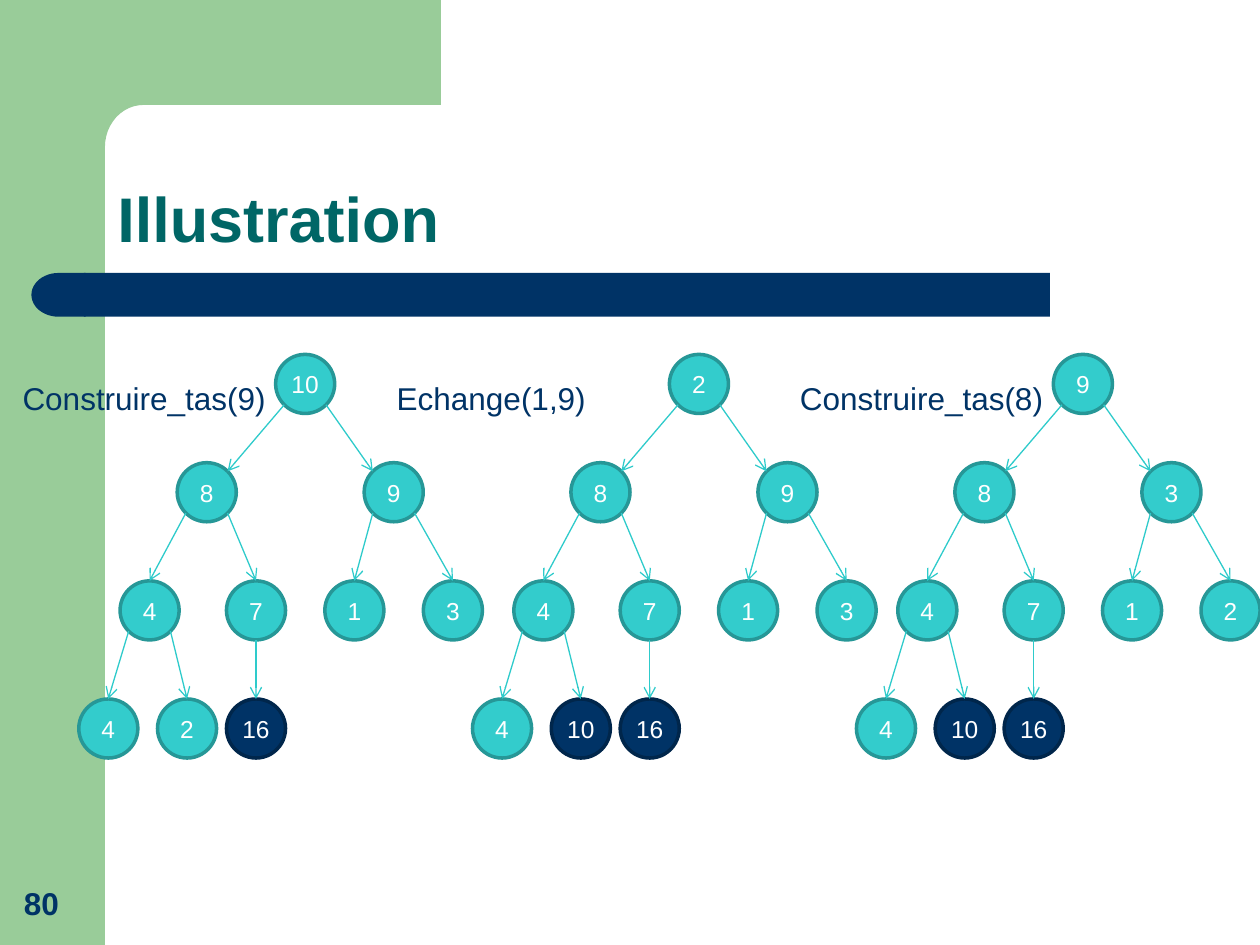
import math

from pptx import Presentation
from pptx.dml.color import RGBColor
from pptx.enum import shapes, text
from pptx.oxml import parse_xml
from pptx.oxml.ns import nsdecls, qn
from pptx.util import Pt

GREEN = RGBColor(0x99, 0xCC, 0x99)
NAVY = RGBColor(0x00, 0x33, 0x66)
DARK_NAVY = RGBColor(0x00, 0x26, 0x4B)
TEAL = RGBColor(0x00, 0x66, 0x66)
TURQUOISE = RGBColor(0x33, 0xCC, 0xCC)
DARK_TURQUOISE = RGBColor(0x26, 0x97, 0x97)
ARROW = RGBColor(0x2E, 0xCB, 0xCB)
WHITE = RGBColor(0xFF, 0xFF, 0xFF)

SHAPE = shapes.MSO_SHAPE
DIAMETER = 33.75
ROWS = (0, 61.9, 129.4, 196.9)

TOP, BOTTOM = (0, -1), (0, 1)
SLANT = math.sqrt(0.5)
UPPER_LEFT, UPPER_RIGHT = (-SLANT, -SLANT), (SLANT, -SLANT)
LOWER_LEFT, LOWER_RIGHT = (-SLANT, SLANT), (SLANT, SLANT)

NODES = (
    (112.5, 0), (56.25, 1), (163.1, 1),
    (23.6, 2), (84.4, 2), (140.6, 2), (196.9, 2),
    (0, 3), (45, 3), (84.4, 3),
)
EDGES = (
    (0, 1, LOWER_LEFT, UPPER_RIGHT), (0, 2, LOWER_RIGHT, UPPER_LEFT),
    (1, 3, LOWER_LEFT, TOP), (1, 4, LOWER_RIGHT, TOP),
    (3, 7, LOWER_LEFT, TOP), (3, 8, LOWER_RIGHT, TOP), (4, 9, BOTTOM, TOP),
    (2, 5, LOWER_LEFT, TOP), (2, 6, LOWER_RIGHT, TOP),
)
TREES = (
    (45, (5.8, 168.5), "Construire_tas(9)", (10, 8, 9, 4, 7, 1, 3, 4, 2, 16), 1),
    (270, (219.6, 135.4), "Echange(1,9)", (2, 8, 9, 4, 7, 1, 3, 4, 10, 16), 2),
    (489.4, (450, 168.5), "Construire_tas(8)", (9, 8, 3, 4, 7, 1, 2, 4, 10, 16), 2),
)


def write(frame, words, *, size, color, bold=False, anchor=text.MSO_ANCHOR.TOP,
          align=None, spacing=None, inset=None):
    """Put one formatted paragraph into a text frame."""
    frame.word_wrap = True
    frame.vertical_anchor = anchor
    if inset is not None:
        frame.margin_left = frame.margin_right = Pt(inset)
        frame.margin_top = frame.margin_bottom = Pt(inset)
    para = frame.paragraphs[0]
    para.alignment = align
    para.line_spacing = spacing
    span = para.add_run()
    span.text = words
    span.font.name = "Arial"
    span.font.size = Pt(size)
    span.font.bold = bold
    span.font.color.rgb = color


def add_label(page, box, words, **style):
    """Place a text box in the given box."""
    label = page.shapes.add_textbox(*map(Pt, box))
    write(label.text_frame, words, **style)


def paint(shape, fill, line=None):
    """Give a shape a flat fill and an optional outline."""
    shape.shadow.inherit = False
    shape.fill.solid()
    shape.fill.fore_color.rgb = fill
    if line is None:
        shape.line.fill.background()
    else:
        shape.line.color.rgb = line
        shape.line.width = Pt(2)


def add_block(page, kind, box, fill, line=None):
    """Place a painted preset shape in the given box."""
    block = page.shapes.add_shape(kind, *map(Pt, box))
    paint(block, fill, line)
    return block


def add_frame(page, left, top, width, height):
    """Draw the green side band and its corner with a rounded inner edge."""
    band = 60
    add_block(page, SHAPE.RECTANGLE, (left, top, band, height), GREEN)
    arc = []
    for step in range(13):
        angle = math.radians(7.5 * step)
        arc.append((left + band + 22 * (1 - math.sin(angle)),
                    top + band + 24 * (1 - math.cos(angle))))
    right = left + width
    points = [(right, top + band), *arc, (left + band, top + 92),
              (left + 36, top + 92), (left + 36, top)]
    builder = page.shapes.build_freeform(Pt(right), Pt(top), scale=1.0)
    builder.add_line_segments([(Pt(x), Pt(y)) for x, y in points], close=True)
    paint(builder.convert_to_shape(), GREEN)


def add_bar(page, left, top, width, height):
    """Draw the navy bar with its round left end."""
    cap = 31
    add_block(page, SHAPE.RECTANGLE, (left + cap - 1, top, width - cap + 1, height), NAVY)
    end = add_block(page, SHAPE.FLOWCHART_DELAY, (left, top, cap, height), NAVY)
    end._element.spPr.find(qn("a:xfrm")).set("flipH", "1")


def add_arrow(page, start, end):
    """Draw a thin line with an open arrowhead at its end."""
    arrow = page.shapes.add_connector(
        shapes.MSO_CONNECTOR.STRAIGHT, *map(Pt, (*start, *end)))
    arrow.line.color.rgb = ARROW
    arrow.line.width = Pt(0.75)
    arrow.line._get_or_add_ln().append(
        parse_xml(f'<a:tailEnd {nsdecls("a")} type="arrow"/>'))
    arrow._element.spPr.append(parse_xml(f'<a:effectLst {nsdecls("a")}/>'))


def add_tree(page, left, top, values, sorted_count):
    """Draw a heap whose last values are already sorted and so dark."""
    radius = DIAMETER / 2
    places = [(left + x, top + ROWS[row]) for x, row in NODES]
    for index, (place, value) in enumerate(zip(places, values)):
        is_sorted = index >= len(values) - sorted_count
        colors = (NAVY, DARK_NAVY) if is_sorted else (TURQUOISE, DARK_TURQUOISE)
        node = add_block(page, SHAPE.OVAL, (*place, DIAMETER, DIAMETER), *colors)
        write(node.text_frame, str(value), size=14, color=WHITE, inset=0,
              anchor=text.MSO_ANCHOR.MIDDLE, align=text.PP_ALIGN.CENTER)

    def rim(index, side):
        """Return the point of a node's rim on the given side."""
        return [origin + radius * (1 + part)
                for origin, part in zip(places[index], side)]

    for parent, child, leave, arrive in EDGES:
        add_arrow(page, rim(parent, leave), rim(child, arrive))


def main():
    """Build and save the slide."""
    deck = Presentation()
    deck.slide_width, deck.slide_height = Pt(720), Pt(540)
    page = deck.slides.add_slide(deck.slide_layouts[6])
    add_frame(page, 0, 0, 252, 540)
    add_bar(page, 18, 156, 582, 25)
    add_label(page, (60, 60, 624, 90), "Illustration", size=36, color=TEAL,
              bold=True, anchor=text.MSO_ANCHOR.BOTTOM, spacing=0.9)
    add_label(page, (6.5, 492, 46, 38), "80", size=18, color=NAVY, bold=True,
              anchor=text.MSO_ANCHOR.BOTTOM)
    for left, (label_left, label_width), words, values, sorted_count in TREES:
        add_label(page, (label_left, 213.1, label_width, 29), words, size=18, color=NAVY)
        add_tree(page, left, 202.5, values, sorted_count)
    deck.save("out.pptx")


if __name__ == "__main__":
    main()
